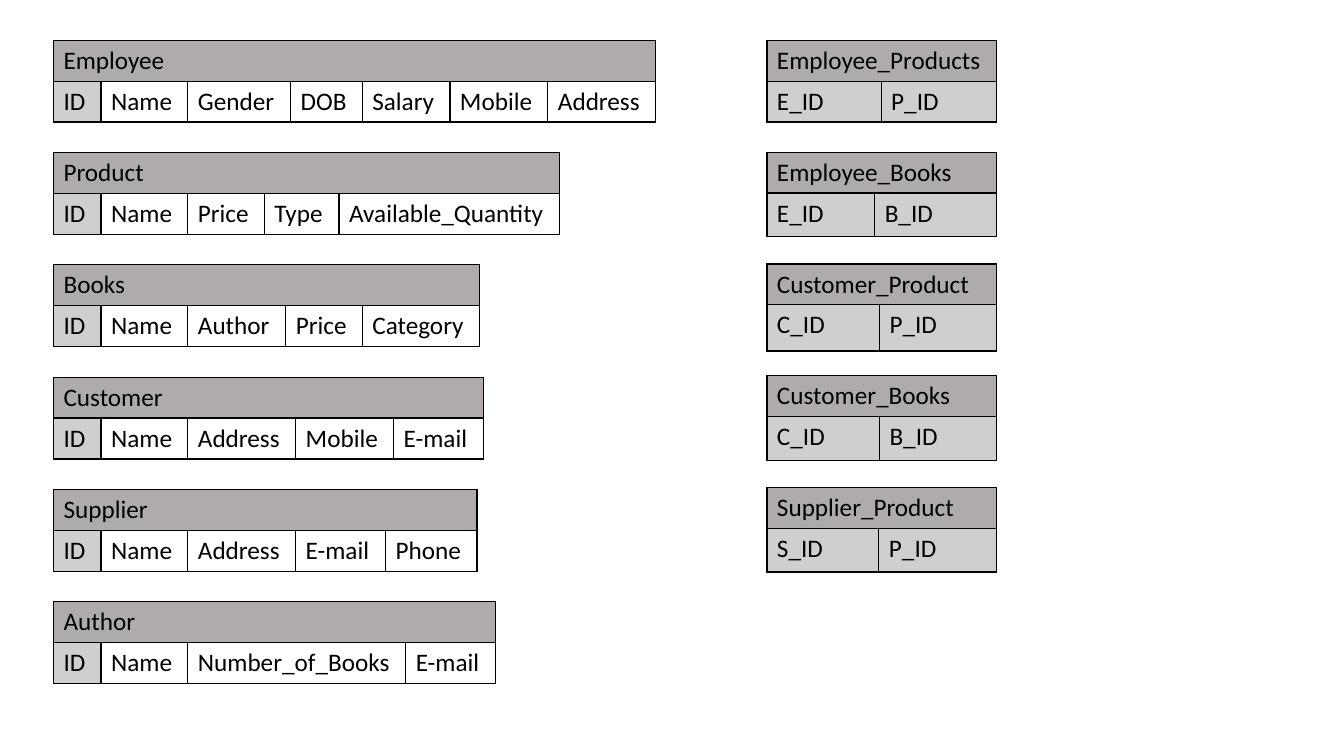
from lxml.etree import SubElement
from pptx import Presentation
from pptx.dml.color import RGBColor
from pptx.oxml.ns import qn
from pptx.util import Pt

BLACK = RGBColor(0x00, 0x00, 0x00)
HEADER_GREY = RGBColor(0xAF, 0xAB, 0xAB)
KEY_GREY = RGBColor(0xD0, 0xCE, 0xCE)

# Entities: name and fields, the first field being the key
ENTITIES = [
    ("Employee", ["ID", "Name", "Gender", "DOB", "Salary", "Mobile", "Address"]),
    ("Product", ["ID", "Name", "Price", "Type", "Available_Quantity"]),
    ("Books", ["ID", "Name", "Author", "Price", "Category"]),
    ("Customer", ["ID", "Name", "Address", "Mobile", "E-mail"]),
    ("Supplier", ["ID", "Name", "Address", "E-mail", "Phone"]),
    ("Author", ["ID", "Name", "Number_of_Books", "E-mail"]),
]
FIELD_WIDTHS = {
    "ID": 34, "Name": 62, "Gender": 73.4, "DOB": 51.2, "Salary": 62.6,
    "Mobile": 70, "Address": 77, "Price": 54.6, "Type": 53.4,
    "Available_Quantity": 157.6, "Author": 70, "Category": 83.6,
    "E-mail": 64.2, "Phone": 65.4, "Number_of_Books": 155.6,
}

# Relations: name, two keys, width of the first key, height of the key row
RELATIONS = [
    ("Employee_Products", ["E_ID", "P_ID"], 81.6, 29.2),
    ("Employee_Books", ["E_ID", "B_ID"], 77, 31),
    ("Customer_Product", ["C_ID", "P_ID"], 80.4, 33),
    ("Customer_Books", ["C_ID", "B_ID"], 80.4, 31),
    ("Supplier_Product", ["S_ID", "P_ID"], 80, 31),
]

# Layout in points
TOP = 28.8
ENTITY_LEFT, ENTITY_PITCH = 38.2, 80.2
RELATION_LEFT, RELATION_PITCH, RELATION_WIDTH = 547.8, 79.9, 164
ROW_HEIGHT = 29.2


def add_borders(cell):
    properties = cell._tc.get_or_add_tcPr()
    for side in ("lnL", "lnR", "lnT", "lnB"):
        line = SubElement(properties, qn(f"a:{side}"), w=str(Pt(1)))
        color = SubElement(line, qn("a:solidFill"))
        SubElement(color, qn("a:srgbClr"), val=str(BLACK))


def write(cell, text, size=18, color=BLACK, font="Calibri", bold=False):
    run = cell.text_frame.paragraphs[0].add_run()
    run.text = text
    run.font.size = Pt(size)
    run.font.name = font
    run.font.bold = bold
    run.font.color.rgb = color


def add_schema(slide, name, fields, widths, left, top, key_count, field_height=ROW_HEIGHT):
    table = slide.shapes.add_table(
        2, len(fields), Pt(left), Pt(top),
        Pt(sum(widths)), Pt(ROW_HEIGHT + field_height)).table
    table.first_row = table.horz_banding = False
    table.rows[0].height = Pt(ROW_HEIGHT)
    table.rows[1].height = Pt(field_height)

    for index, (field, width) in enumerate(zip(fields, widths)):
        table.columns[index].width = Pt(width)
        header, field_cell = table.cell(0, index), table.cell(1, index)
        for cell in (header, field_cell):
            add_borders(cell)
        header.fill.solid()
        header.fill.fore_color.rgb = HEADER_GREY
        if index < key_count:
            field_cell.fill.solid()
            field_cell.fill.fore_color.rgb = KEY_GREY
        else:
            field_cell.fill.background()
        write(field_cell, field)

    table.cell(0, 0).merge(table.cell(0, len(fields) - 1))
    write(table.cell(0, 0), name)


def main():
    deck = Presentation()
    deck.slide_width, deck.slide_height = Pt(960), Pt(540)
    slide = deck.slides.add_slide(deck.slide_layouts[6])

    # Entity tables on the left
    for index, (name, fields) in enumerate(ENTITIES):
        widths = [FIELD_WIDTHS[field] for field in fields]
        add_schema(slide, name, fields, widths, ENTITY_LEFT,
                   TOP + index * ENTITY_PITCH, key_count=1)

    # Relation tables on the right
    for index, (name, keys, first_width, key_height) in enumerate(RELATIONS):
        widths = [first_width, RELATION_WIDTH - first_width]
        add_schema(slide, name, keys, widths, RELATION_LEFT,
                   TOP + index * RELATION_PITCH, key_count=2, field_height=key_height)

    deck.save("out.pptx")


if __name__ == "__main__":
    main()
